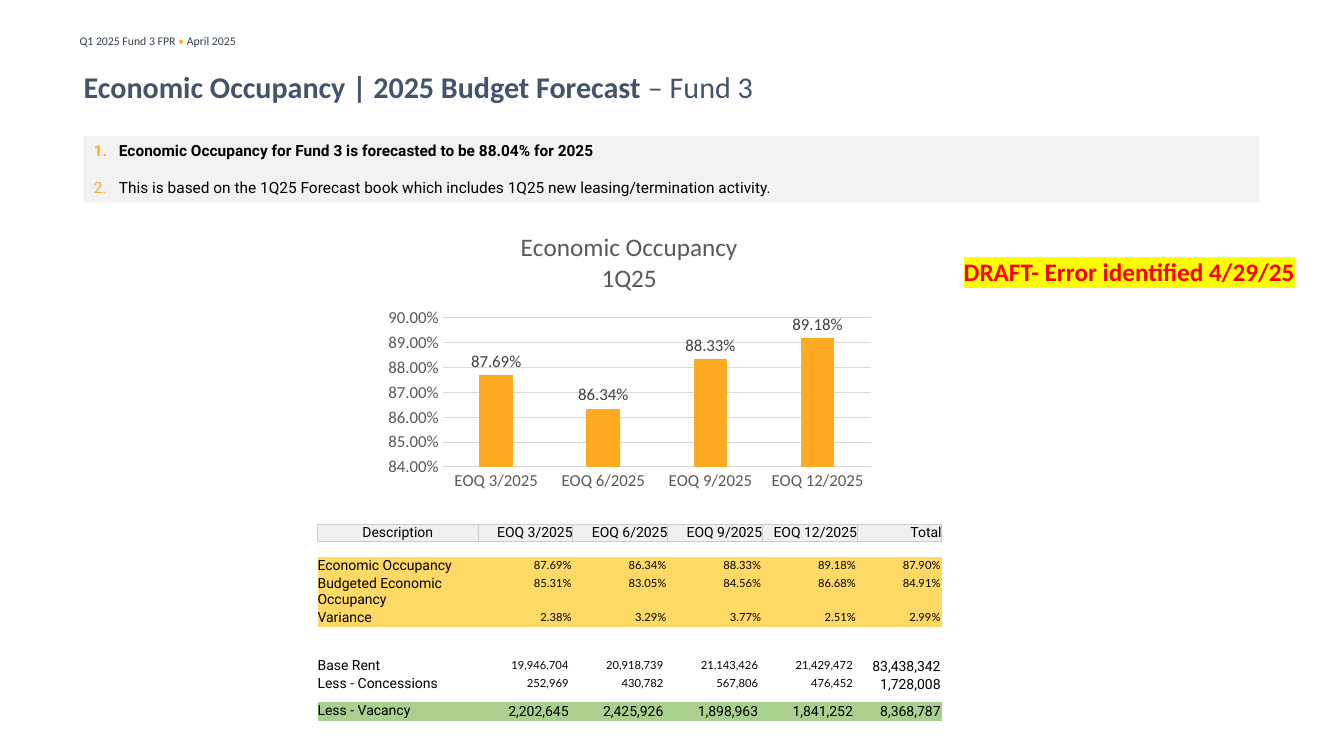
from lxml.etree import SubElement
from pptx import Presentation
from pptx.chart.data import CategoryChartData
from pptx.dml.color import RGBColor
from pptx.enum.chart import XL_CHART_TYPE, XL_LABEL_POSITION, XL_TICK_MARK
from pptx.enum.text import MSO_ANCHOR, MSO_AUTO_SIZE, PP_ALIGN
from pptx.oxml.ns import qn
from pptx.util import Inches, Pt

ORANGE, GRAY, RULE = "FFAB21", "595959", "D9D9D9"
QUARTERS = ["EOQ 3/2025", "EOQ 6/2025", "EOQ 9/2025", "EOQ 12/2025"]
RATES = ["87.69%", "86.34%", "88.33%", "89.18%", "87.90%"]
COLS = [1.59, 0.94, 0.94, 0.94, 0.94, 0.84]
ROWS = [
    (0.17, "F0F0F0", 10, ["Description", *QUARTERS, "Total"]),
    (0.16, None, 8, [""] * 6),
    (0.18, "FFD966", 8, ["Economic Occupancy", *RATES]),
    (0.34, "FFD966", 8, ["Budgeted Economic Occupancy", "85.31%", "83.05%", "84.56%", "86.68%", "84.91%"]),
    (0.17, "FFD966", 8, ["Variance", "2.38%", "3.29%", "3.77%", "2.51%", "2.99%"]),
    (0.3, None, 8, [""] * 6),
    (0.18, None, 8, ["Base Rent", "19,946,704", "20,918,739", "21,143,426", "21,429,472", "83,438,342"]),
    (0.27, None, 8, ["Less - Concessions", "252,969", "430,782", "567,806", "476,452", "1,728,008"]),
    (0.18, "A9D08E", 10, ["Less - Vacancy", "2,202,645", "2,425,926", "1,898,963", "1,841,252", "8,368,787"]),
]


def color(code):
    """Turn a hex string into a colour."""
    return RGBColor.from_string(code)


def style(font, size, ink, face="Calibri", bold=False):
    """Format a font."""
    font.size, font.bold, font.name = Pt(size), bold, face
    font.color.rgb = color(ink)


def write(para, text, size=10, ink="000000", face="Calibri", bold=False, mark=None):
    """Add a formatted run, highlighted if a mark colour is given."""
    run = para.add_run()
    run.text = text
    style(run.font, size, ink, face, bold)
    if mark:
        light = SubElement(run._r.rPr, qn("a:highlight"))
        SubElement(light, qn("a:srgbClr"), val=mark)
        run._r.rPr.find(qn("a:solidFill")).addnext(light)


def place(shape, box):
    """Move a shape to a box in inches."""
    shape.left, shape.top, shape.width, shape.height = map(Inches, box)


def inset(part, left=0, top=0, right=0, base=0):
    """Set the margins of a frame or cell."""
    part.margin_left, part.margin_top = Inches(left), Inches(top)
    part.margin_right, part.margin_bottom = Inches(right), Inches(base)


def add_head(slide, box):
    """Place the running header."""
    para = slide.shapes.add_textbox(*map(Inches, box)).text_frame.paragraphs[0]
    for text, ink in [("Q1 2025 Fund 3 FPR ", "33404F"), ("• ", ORANGE), ("April 2025", "33404F")]:
        write(para, text, size=8.4, ink=ink)


def add_title(slide, box):
    """Fill the title placeholder."""
    title = slide.shapes.title
    place(title, box)
    frame = title.text_frame
    frame.auto_size, frame.vertical_anchor = MSO_AUTO_SIZE.NONE, MSO_ANCHOR.MIDDLE
    inset(frame)
    para = frame.paragraphs[0]
    para.alignment = PP_ALIGN.LEFT
    write(para, "Economic Occupancy | 2025 Budget Forecast ", size=21.5, ink="44546A", bold=True)
    write(para, "– Fund 3", size=21.5, ink="44546A")


def add_list(slide, box):
    """Fill the body placeholder with the numbered points."""
    body = slide.placeholders[1]
    place(body, box)
    body.fill.solid()
    body.fill.fore_color.rgb = color("F2F2F2")
    frame = body.text_frame
    frame.auto_size, frame.vertical_anchor = MSO_AUTO_SIZE.NONE, MSO_ANCHOR.TOP
    inset(frame, 0.1, 0.05, 0.1, 0.05)
    points = [
        ("Economic Occupancy for Fund 3 is forecasted to be 88.04% for 2025", True),
        ("This is based on the 1Q25 Forecast book which includes 1Q25 new leasing/termination activity.", False),
    ]
    for i, (text, bold) in enumerate(points):
        para = frame.add_paragraph() if i else frame.paragraphs[0]
        para.line_spacing, para.space_before = 1.0, Pt(13 * i)
        props = para._p.get_or_add_pPr()
        props.set("marL", str(Inches(0.25)))
        props.set("indent", str(-Inches(0.25)))
        tint = SubElement(props, qn("a:buClr"))
        SubElement(tint, qn("a:srgbClr"), val="FEAB21")
        SubElement(props, qn("a:buFont"), typeface="+mj-lt")
        SubElement(props, qn("a:buAutoNum"), type="arabicPeriod")
        write(para, text, size=11, face="Roboto", bold=bold)


def add_bars(slide, box):
    """Place the occupancy column chart."""
    data = CategoryChartData(number_format="0.00%")
    data.categories = QUARTERS
    data.add_series("Series 1", [0.8769, 0.8634, 0.8833, 0.8918])
    chart = slide.shapes.add_chart(XL_CHART_TYPE.COLUMN_CLUSTERED, *map(Inches, box), data).chart
    style(chart.font, 10, "000000")
    chart.has_legend = False
    frame = chart.chart_title.text_frame
    for para, text in [(frame.paragraphs[0], "Economic Occupancy"), (frame.add_paragraph(), "1Q25")]:
        write(para, text, size=18, ink=GRAY)
    plot = chart.plots[0]
    plot.gap_width, plot.overlap, plot.vary_by_categories = 219, -27, False
    fill = plot.series[0].format.fill
    fill.solid()
    fill.fore_color.rgb = color(ORANGE)
    labels = plot.series[0].data_labels
    labels.show_value, labels.position = True, XL_LABEL_POSITION.OUTSIDE_END
    labels.number_format, labels.number_format_is_linked = "0.00%", False
    style(labels.font, 12, "404040")
    cats, vals = chart.category_axis, chart.value_axis
    for axis in (cats, vals):
        axis.major_tick_mark = axis.minor_tick_mark = XL_TICK_MARK.NONE
        style(axis.tick_labels.font, 12, GRAY)
    vals.minimum_scale, vals.maximum_scale, vals.major_unit = 0.84, 0.9, 0.01
    vals.tick_labels.number_format = "0.00%"
    vals.tick_labels.number_format_is_linked = False
    vals.format.line.fill.background()
    for line in (cats.format.line, vals.major_gridlines.format.line):
        line.color.rgb, line.width = color(RULE), Pt(0.75)
    area = chart._chartSpace.chart.plotArea
    for old in area.findall(qn("c:layout")):
        area.remove(old)
    layout = SubElement(area, qn("c:layout"))
    area.insert(0, layout)
    manual = SubElement(layout, qn("c:manualLayout"))
    sizes = [("layoutTarget", "inner"), ("xMode", "edge"), ("yMode", "edge"),
             ("x", "0.13"), ("y", "0.36"), ("w", "0.85"), ("h", "0.53")]
    for tag, val in sizes:
        SubElement(manual, qn("c:" + tag), val=val)


def fill_cell(cell, text, size, back, row, col):
    """Write and format one table cell."""
    head, name = row == 0, col == 0
    sum_up = col == 5 and row > 5
    gap = 0.04 if not name and not sum_up and row > 5 else 0.01
    inset(cell, *([0] * 4 if head or name else [0.01, 0.01, gap, 0]))
    cell.vertical_anchor = MSO_ANCHOR.MIDDLE if head else MSO_ANCHOR.TOP
    if head:
        for side in "LRTB":
            line = SubElement(cell._tc.get_or_add_tcPr(), qn("a:ln" + side), w=str(Pt(0.5)))
            SubElement(SubElement(line, qn("a:solidFill")), qn("a:srgbClr"), val="CCCCCC")
    if back:
        cell.fill.solid()
        cell.fill.fore_color.rgb = color(back)
    else:
        cell.fill.background()
    para = cell.text_frame.paragraphs[0]
    if not text:
        SubElement(para._p, qn("a:endParaRPr"), sz="800")
        return
    para.alignment = PP_ALIGN.RIGHT if not name else PP_ALIGN.CENTER if head else PP_ALIGN.LEFT
    size = 10 if name or sum_up else size
    write(para, text, size=size, face="Roboto" if size == 10 else "Lato")


def add_grid(slide, box):
    """Place the table of rates and rents."""
    table = slide.shapes.add_table(len(ROWS), len(COLS), *map(Inches, box)).table
    table.first_row = table.horz_banding = False
    table._tbl.tblPr.find(qn("a:tableStyleId")).text = "{2D5ABB26-0587-4C30-8999-92F81FD0307C}"
    for col, width in zip(table.columns, COLS):
        col.width = Inches(width)
    for r, (height, back, size, texts) in enumerate(ROWS):
        table.rows[r].height = Inches(height)
        for c, text in enumerate(texts):
            fill_cell(table.cell(r, c), text, size, back, r, c)


def add_draft(slide, box):
    """Place the highlighted draft notice."""
    frame = slide.shapes.add_textbox(*map(Inches, box)).text_frame
    frame.word_wrap = False
    write(frame.paragraphs[0], "DRAFT- Error identified 4/29/25", size=18, ink="FF0000", bold=True, mark="FFFF00")


def main():
    """Build and save the slide."""
    deck = Presentation()
    deck.slide_width, deck.slide_height = Inches(13.33), Inches(7.5)
    slide = deck.slides.add_slide(deck.slide_layouts[1])
    add_head(slide, (0.69, 0.29, 4.51, 0.24))
    add_title(slide, (0.83, 0.55, 11.02, 0.61))
    add_list(slide, (0.83, 1.35, 11.66, 0.66))
    add_grid(slide, (3.15, 5.2, 6.19, 1.95))
    add_bars(slide, (3.74, 2.15, 5, 2.79))
    add_draft(slide, (9.46, 2.49, 3.53, 0.4))
    deck.save("out.pptx")


if __name__ == "__main__":
    main()
